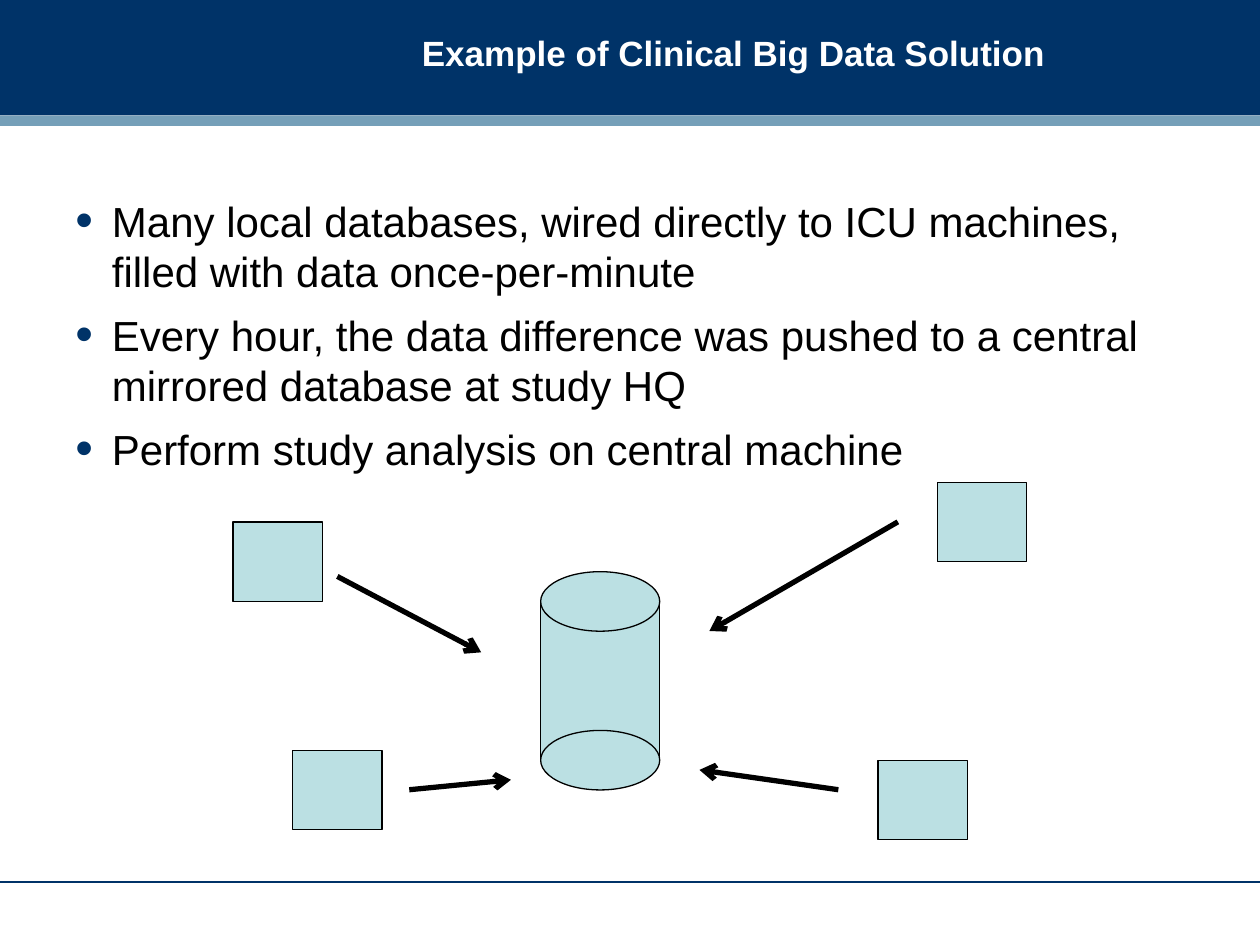
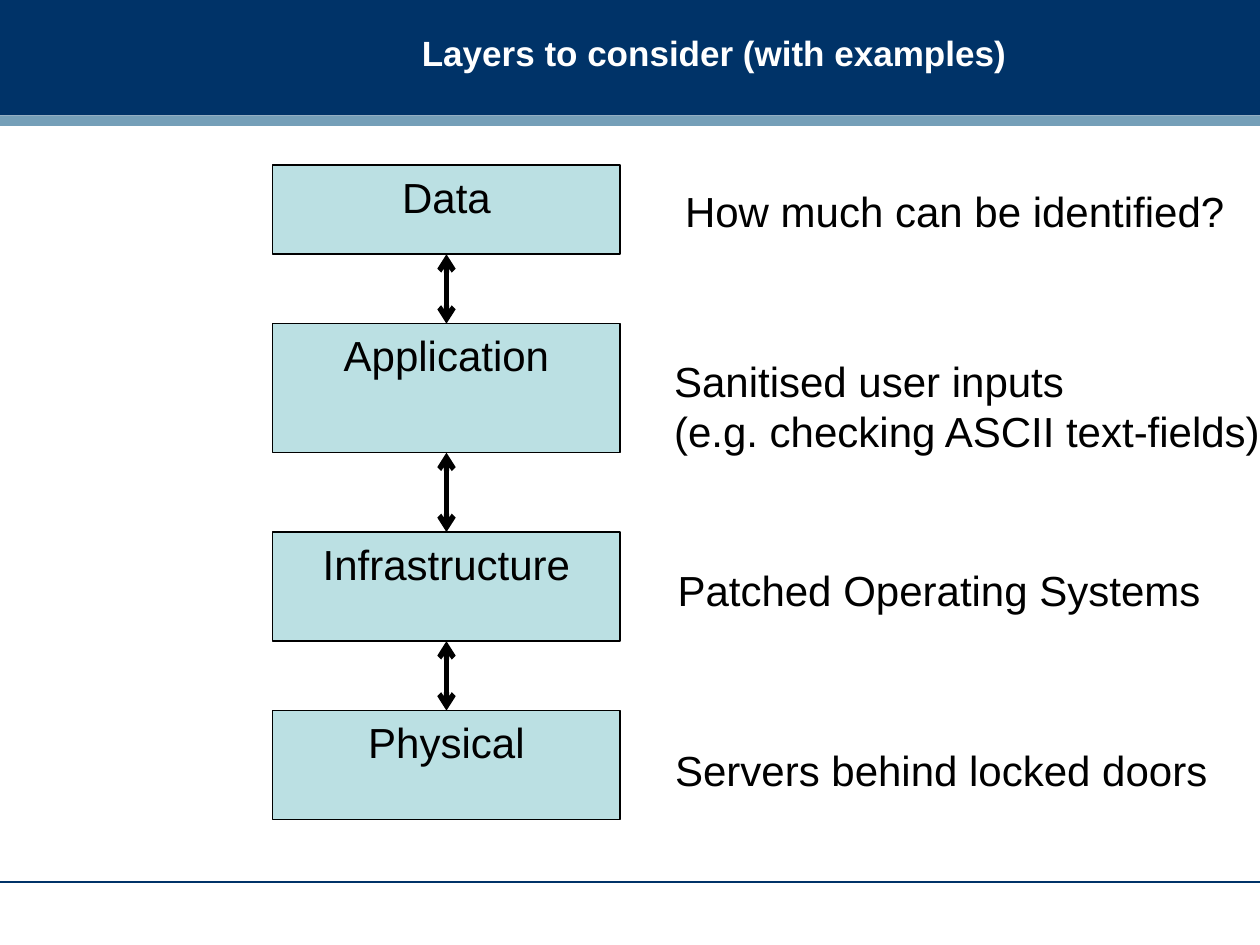
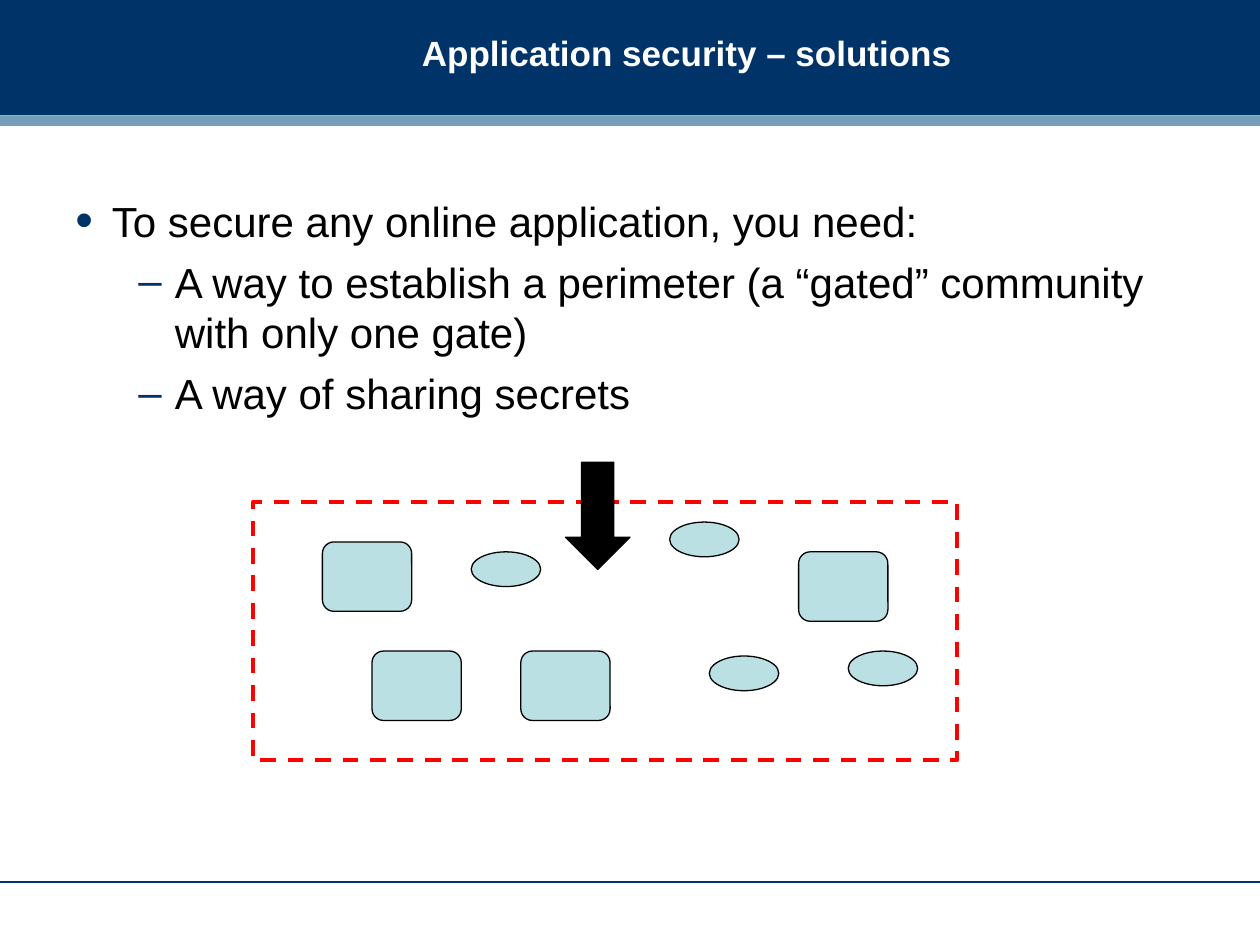
from itertools import pairwise

from lxml.etree import SubElement
from pptx import Presentation
from pptx.dml.color import RGBColor
from pptx.enum.dml import MSO_LINE
from pptx.enum.shapes import MSO_CONNECTOR, MSO_SHAPE
from pptx.enum.text import MSO_ANCHOR, MSO_AUTO_SIZE, PP_ALIGN
from pptx.oxml.ns import qn
from pptx.util import Inches, Mm, Pt

COLORS = {
    "navy": "003368",
    "steel": "759FB8",
    "aqua": "BBE0E3",
    "red": "FF0000",
    "black": "000000",
    "white": "FFFFFF",
}
FONT = "Arial"
TITLE_LAYOUT = 5
COLUMNS, ROWS = 254, 190.5
ROW_SHIFT = 0.25
BULLETS = [
    {"mark": "•", "size": 120, "indent": 0.29, "before": 7.5},
    {"mark": "–", "size": 100, "indent": 0.79, "before": 6},
]
HANGING = 0.29


def color(name):
    """Return the named colour of the palette."""
    return RGBColor.from_string(COLORS[name])


def cells(*lengths):
    """Turn grid columns and rows, one millimetre each, into lengths."""
    return [Mm(length) for length in lengths]


def write(para, text, size=24, ink="black", bold=False, align=PP_ALIGN.LEFT):
    """Set the text of a paragraph and its format."""
    para.text = text
    para.alignment = align
    para.font.name = FONT
    para.font.size = Pt(size)
    para.font.bold = bold
    para.font.color.rgb = color(ink)


def add_bullet(para, level):
    """Give a paragraph the hanging bullet of its level."""
    style = BULLETS[level]
    para.level = level
    properties = para._p.get_or_add_pPr()
    properties.set("marL", str(Inches(style["indent"])))
    properties.set("indent", str(-Inches(HANGING)))
    tint = SubElement(properties, qn("a:buClr"))
    SubElement(tint, qn("a:srgbClr"), val=COLORS["navy"])
    SubElement(properties, qn("a:buSzPct"), val=str(style["size"] * 1000))
    SubElement(properties, qn("a:buFont"), typeface=FONT)
    SubElement(properties, qn("a:buChar"), char=style["mark"])


def add_block(page, kind, left, top, width, height, fill="aqua", line="black", weight=0.75):
    """Add a preset shape on the grid, with optional fill and line."""
    block = page.shapes.add_shape(kind, *cells(left, top, width, height))
    block.shadow.inherit = False
    if fill:
        block.fill.solid()
        block.fill.fore_color.rgb = color(fill)
    else:
        block.fill.background()
    if line:
        block.line.color.rgb = color(line)
        block.line.width = Pt(weight)
    else:
        block.line.fill.background()
    return block


def add_blocks(page, kind, places, width, height):
    """Add equal shapes at several diagram places."""
    for left, top in places:
        add_block(page, kind, left, top + ROW_SHIFT, width, height)


def add_line(page, start, end, ink="black", weight=3, heads=()):
    """Add a straight line with open arrowheads at the named ends."""
    line = page.shapes.add_connector(MSO_CONNECTOR.STRAIGHT, *cells(*start, *end))
    line.line.color.rgb = color(ink)
    line.line.width = Pt(weight)
    outline = line.line._get_or_add_ln()
    for head in heads:
        SubElement(outline, qn(f"a:{head}"), type="arrow")
    SubElement(line.element.spPr, qn("a:effectLst"))
    return line


def add_bullets(page, items):
    """Add the main text as bullets, each a level and its text."""
    box = page.shapes.add_textbox(*cells(12.7, 38.1, 228.6, 125.7))
    frame = box.text_frame
    frame.word_wrap = True
    for index, (level, text) in enumerate(items):
        para = frame.add_paragraph() if index else frame.paragraphs[0]
        add_bullet(para, level)
        write(para, text)
        if index:
            para.space_before = Pt(BULLETS[level]["before"])


def add_remark(page, left, top, width, lines):
    """Add an unwrapped remark of one or more lines."""
    box = page.shapes.add_textbox(*cells(left, top, width, 2.5 + 10.2 * len(lines)))
    frame = box.text_frame
    frame.word_wrap = False
    frame.auto_size = MSO_AUTO_SIZE.SHAPE_TO_FIT_TEXT
    for index, text in enumerate(lines):
        write(frame.add_paragraph() if index else frame.paragraphs[0], text)


def add_layer(page, name, top, height):
    """Add one named layer of the stack."""
    block = add_block(page, MSO_SHAPE.RECTANGLE, 55, top, 70, height)
    block.text_frame.vertical_anchor = MSO_ANCHOR.TOP
    write(block.text_frame.paragraphs[0], name, align=PP_ALIGN.CENTER)


def add_page(deck, title):
    """Add a slide with its title in the header band."""
    page = deck.slides.add_slide(deck.slide_layouts[TITLE_LAYOUT])
    heading = page.shapes.title
    heading.left, heading.top, heading.width, heading.height = cells(82.5, 0, 167, 21.1)
    heading.text_frame.vertical_anchor = MSO_ANCHOR.MIDDLE
    write(heading.text_frame.paragraphs[0], title, size=20, ink="white", bold=True)
    return page


def move_bands_to_layout(page):
    """Draw the header bands and footer rule and hand them to the layout."""
    header = add_block(page, MSO_SHAPE.RECTANGLE, 0, 0, COLUMNS, 23.3, "navy", None)
    rule = add_line(page, (0, 177.8), (COLUMNS, 177.8), "navy", 0.75)
    strip = add_block(page, MSO_SHAPE.RECTANGLE, 0, 23.3, COLUMNS, 2.1, "steel", None)
    for part in (header, rule, strip):
        page.slide_layout.shapes.element.append(part.element)


def fill_solution(page):
    """Show local databases pushing data to the central one."""
    add_bullets(page, [
        (0, "Many local databases, wired directly to ICU machines, filled with data once-per-minute"),
        (0, "Every hour, the data difference was pushed to a central mirrored database at study HQ"),
        (0, "Perform study analysis on central machine"),
    ])
    add_blocks(page, MSO_SHAPE.RECTANGLE, [(109, 121)], 24, 32)
    add_blocks(page, MSO_SHAPE.OVAL, [(109, 115), (109, 147)], 24, 12)
    local_places = [(47, 105), (59, 151), (189, 97), (177, 153)]
    add_blocks(page, MSO_SHAPE.RECTANGLE, local_places, 18, 16)
    pushes = [
        ((181, 105.2), (143, 127.2)),
        ((169, 159.2), (141, 155.2)),
        ((68, 116.2), (97, 131.5)),
        ((82.5, 159.2), (103, 157.2)),
    ]
    for start, end in pushes:
        add_line(page, start, end, heads=["tailEnd"])


def fill_layers(page):
    """Show the stack of layers with a remark beside each."""
    layers = [
        ("Data", 33, 18),
        ("Application", 65, 26),
        ("Infrastructure", 107, 22),
        ("Physical", 143, 22),
    ]
    for name, top, height in layers:
        add_layer(page, name, top + ROW_SHIFT, height)
    for (_, top, height), (_, next_top, _) in pairwise(layers):
        start = (90, top + height + ROW_SHIFT)
        end = (90, next_top + ROW_SHIFT)
        add_line(page, start, end, heads=["headEnd", "tailEnd"])
    remarks = [
        (135.6, 36.1, 113.8, ["How much can be identified?"]),
        (133.4, 70.4, 123.7, ["Sanitised user inputs", "(e.g. checking ASCII text-fields)"]),
        (134.1, 112.5, 110.5, ["Patched Operating Systems"]),
        (133.6, 148.8, 112.3, ["Servers behind locked doors"]),
    ]
    for remark in remarks:
        add_remark(page, *remark)


def fill_security(page):
    """Show a perimeter with one gate around the application parts."""
    add_bullets(page, [
        (0, "To secure any online application, you need:"),
        (1, "A way to establish a perimeter (a “gated” community with only one gate)"),
        (1, "A way of sharing secrets"),
    ])
    perimeter = add_block(page, MSO_SHAPE.RECTANGLE, 51, 101.25, 142, 52, None, "red", 2.25)
    perimeter.line.dash_style = MSO_LINE.DASH
    server_places = [(65, 109), (75, 131), (161, 111), (105, 131)]
    add_blocks(page, MSO_SHAPE.ROUNDED_RECTANGLE, server_places, 18, 14)
    user_places = [(95, 111), (171, 131), (143, 132), (135, 105)]
    add_blocks(page, MSO_SHAPE.OVAL, user_places, 14, 7)
    add_block(page, MSO_SHAPE.DOWN_ARROW, 114, 93.2, 13, 21.6, "black")


def main():
    """Build and save the deck."""
    deck = Presentation()
    deck.slide_width, deck.slide_height = cells(COLUMNS, ROWS)
    contents = [
        ("Example of Clinical Big Data Solution", fill_solution),
        ("Layers to consider (with examples)", fill_layers),
        ("Application security – solutions", fill_security),
    ]
    for index, (title, fill_page) in enumerate(contents):
        page = add_page(deck, title)
        if index == 0:
            move_bands_to_layout(page)
        fill_page(page)
    deck.save("out.pptx")


if __name__ == "__main__":
    main()
